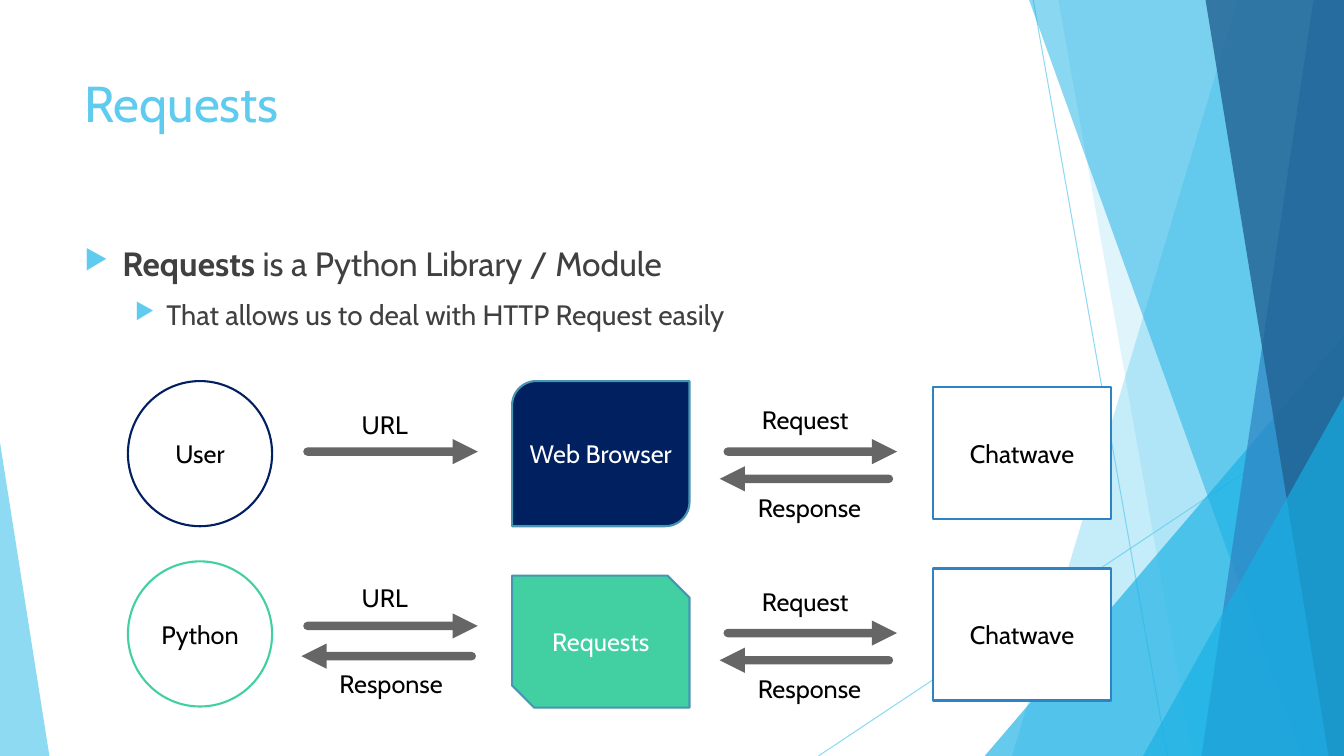
from lxml.etree import SubElement
from pptx import Presentation
from pptx.dml.color import RGBColor
from pptx.enum.shapes import MSO_CONNECTOR, MSO_SHAPE
from pptx.enum.text import MSO_ANCHOR, PP_ALIGN
from pptx.oxml.ns import qn
from pptx.util import Pt

SKY, CYAN, BLUE, DEEP = "5FCBEF", "17B0E4", "2E83C3", "226292"
NAVY, GREEN, EDGE = "002060", "42D0A2", "4696B1"
WHITE, BLACK, GREY = "FFFFFF", "000000", "404040"


def paint(fill, color, alpha=100):
    fill.solid()
    fill.fore_color.rgb = RGBColor.from_string(color)
    if alpha < 100:
        tone = fill._xPr.find(qn("a:solidFill"))[0]
        SubElement(tone, qn("a:alpha"), val=str(alpha * 1000))


def write(para, text, font="Cabin", size=18, color=BLACK, bold=False):
    run = para.add_run()
    run.text = text
    run.font.name = font
    run.font.size = Pt(size)
    run.font.bold = bold
    paint(run.font.fill, color)


class Canvas:
    def __init__(self, slide):
        self.shapes = slide.shapes

    def finish(self, shape, fill, alpha=100, edge=None):
        shape.shadow.inherit = False
        paint(shape.fill, fill, alpha)
        if edge:
            paint(shape.line.fill, edge)
            shape.line.width = Pt(1.5)
        else:
            shape.line.fill.background()

    def facet(self, points, color, alpha):
        corners = [(Pt(x), Pt(y)) for x, y in points]
        pen = self.shapes.build_freeform(*corners[0])
        pen.add_line_segments(corners[1:], close=True)
        self.finish(pen.convert_to_shape(), color, alpha)

    def wedge(self, left, top, width, tip, color, alpha):
        shape = self.shapes.add_shape(
            MSO_SHAPE.ISOSCELES_TRIANGLE, Pt(left), Pt(top), Pt(width), Pt(540 - top))
        shape.adjustments[0] = tip
        self.finish(shape, color, alpha)

    def node(self, kind, box, text, fill, edge, color=BLACK):
        shape = self.shapes.add_shape(kind, *map(Pt, box))
        self.finish(shape, fill, edge=edge)
        frame = shape.text_frame
        frame.word_wrap = True
        frame.vertical_anchor = MSO_ANCHOR.MIDDLE
        para = frame.paragraphs[0]
        para.alignment = PP_ALIGN.CENTER
        write(para, text, color=color)

    def line(self, start, end, color, width, alpha):
        wire = self.shapes.add_connector(
            MSO_CONNECTOR.STRAIGHT, *map(Pt, start + end))
        paint(wire.line.fill, color, alpha)
        wire.line.width = Pt(width)
        SubElement(wire._element.spPr, qn("a:effectLst"))
        return wire

    def arrow(self, start, end, y):
        wire = self.line((start, y), (end, y), BLACK, 6, 60)
        ln = wire.line._get_or_add_ln()
        ln.set("cap", "rnd")
        SubElement(ln, qn("a:round"))
        SubElement(ln, qn("a:tailEnd"), type="triangle")

    def text(self, left, top, width, height):
        frame = self.shapes.add_textbox(*map(Pt, (left, top, width, height))).text_frame
        frame.word_wrap = True
        return frame

    def label(self, left, top, width, text):
        write(self.text(left, top, width, 28.8).paragraphs[0], text)

    def bullet(self, para, margin, hang):
        para.space_before = Pt(10)
        props = para._p.get_or_add_pPr()
        props.set("marL", str(Pt(margin)))
        props.set("indent", str(-Pt(hang)))
        tint = SubElement(props, qn("a:buClr"))
        SubElement(tint, qn("a:srgbClr"), val=SKY)
        SubElement(props, qn("a:buSzPct"), val="80000")
        SubElement(props, qn("a:buChar"), char="▶")


def backdrop(page):
    page.line((738, 0), (833.8, 540), SKY, 0.75, 70)
    page.line((960, 290.2), (584.6, 540), SKY, 0.75, 70)
    page.facet([(884.2, 0), (960, 0), (960, 540), (722.9, 540)], SKY, 36)
    page.facet([(756, 0), (960, 0), (960, 540), (851.8, 540)], SKY, 20)
    page.wedge(703.4, 239.8, 256.6, 1, CYAN, 66)
    page.facet([(735.1, 0), (960, 0), (960, 540), (929.5, 540)], CYAN, 50)
    page.facet([(938.2, 0), (960, 0), (960, 540), (858.2, 540)], BLUE, 70)
    page.facet([(861.1, 0), (960, 0), (960, 540), (949, 540)], DEEP, 80)
    page.wedge(816.5, 283, 143.5, 1, CYAN, 66)
    page.wedge(0, 316.1, 35.3, 0, SKY, 70)


def heading(page):
    title = page.text(53.3, 48.2, 676.8, 103.7)
    write(title.paragraphs[0], "Requests", size=36, color=SKY)
    body = page.text(53.3, 169.9, 676.8, 305.3)
    first, second = body.paragraphs[0], body.add_paragraph()
    page.bullet(first, 27, 27)
    write(first, "Requests", size=24, color=GREY, bold=True)
    write(first, " is a Python Library / Module", size=24, color=GREY)
    second.level = 1
    page.bullet(second, 58.5, 22.5)
    write(second, "That allows us to deal with HTTP Request easily", size=20, color=GREY)


def diagram(page):
    rows = [
        (272.2, "User", NAVY, MSO_SHAPE.ROUND_2_DIAG_RECTANGLE,
         272.2, 103.7, "Web Browser", NAVY, 322.6, 288.7),
        (401, "Python", GREEN, MSO_SHAPE.SNIP_2_DIAG_RECTANGLE,
         411.1, 94.3, "Requests", GREEN, 447.1, 412.6),
    ]
    for index, row in enumerate(rows):
        top, actor, rim, kind, peak, height, tool, fill, out, name = row
        drop = index * 129.6
        page.node(MSO_SHAPE.OVAL, (91.4, top, 103, 103.7), actor, WHITE, rim)
        page.node(kind, (365.8, peak, 126.7, height), tool, fill, EDGE, WHITE)
        page.node(MSO_SHAPE.RECTANGLE, (666.7, 276.5 + drop, 126.7, 94.3),
                  "Chatwave", WHITE, BLUE)
        page.arrow(219.6, 341.3, out)
        page.label(251.3, name, 51.1, "URL")
        page.arrow(519.8, 640.8, 322.6 + drop)
        page.label(537.1, 285.5 + drop, 84.2, "Request")
        page.arrow(635, 514.1, 342 + drop)
        page.label(534.2, 347.8 + drop, 92.9, "Response")
    page.arrow(337, 215.3, 468.7)
    page.label(235.4, 473.8, 92.9, "Response")


def main():
    deck = Presentation()
    deck.slide_width, deck.slide_height = Pt(960), Pt(540)
    page = Canvas(deck.slides.add_slide(deck.slide_layouts[6]))
    backdrop(page)
    heading(page)
    diagram(page)
    deck.save("out.pptx")


if __name__ == "__main__":
    main()
